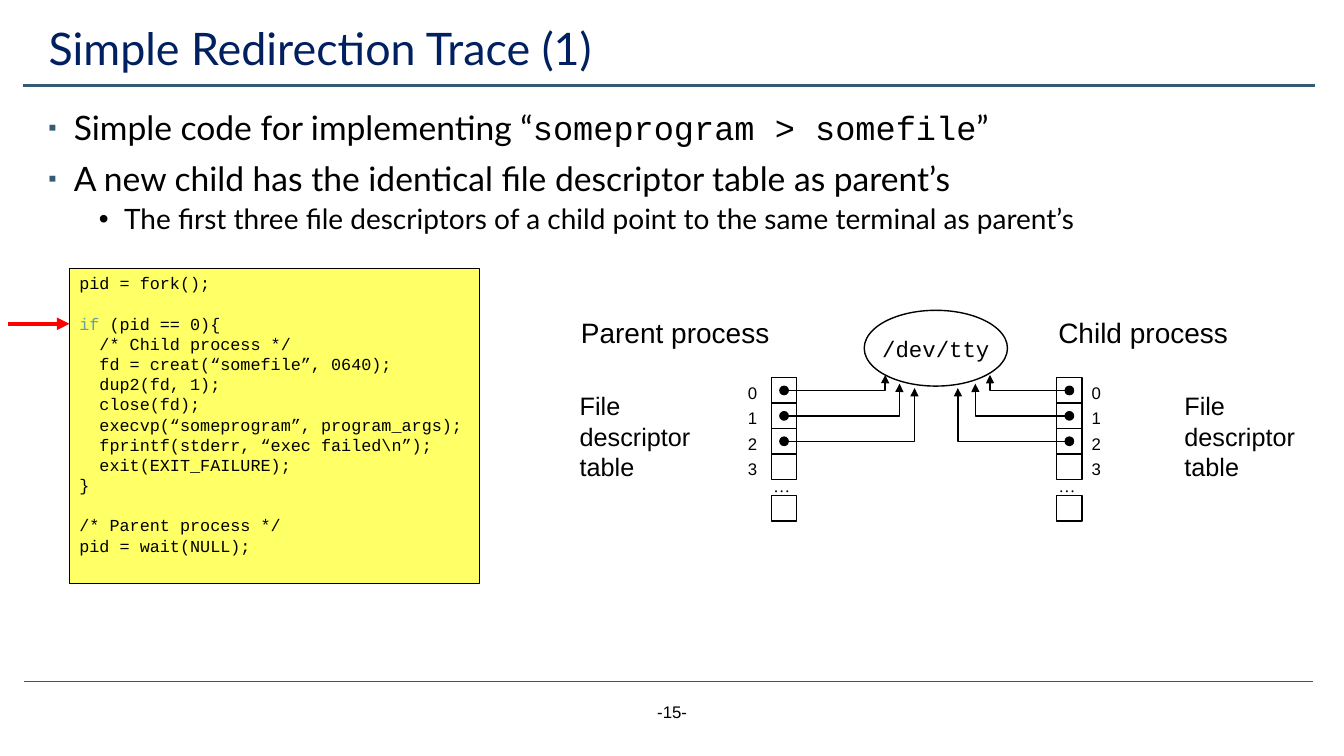
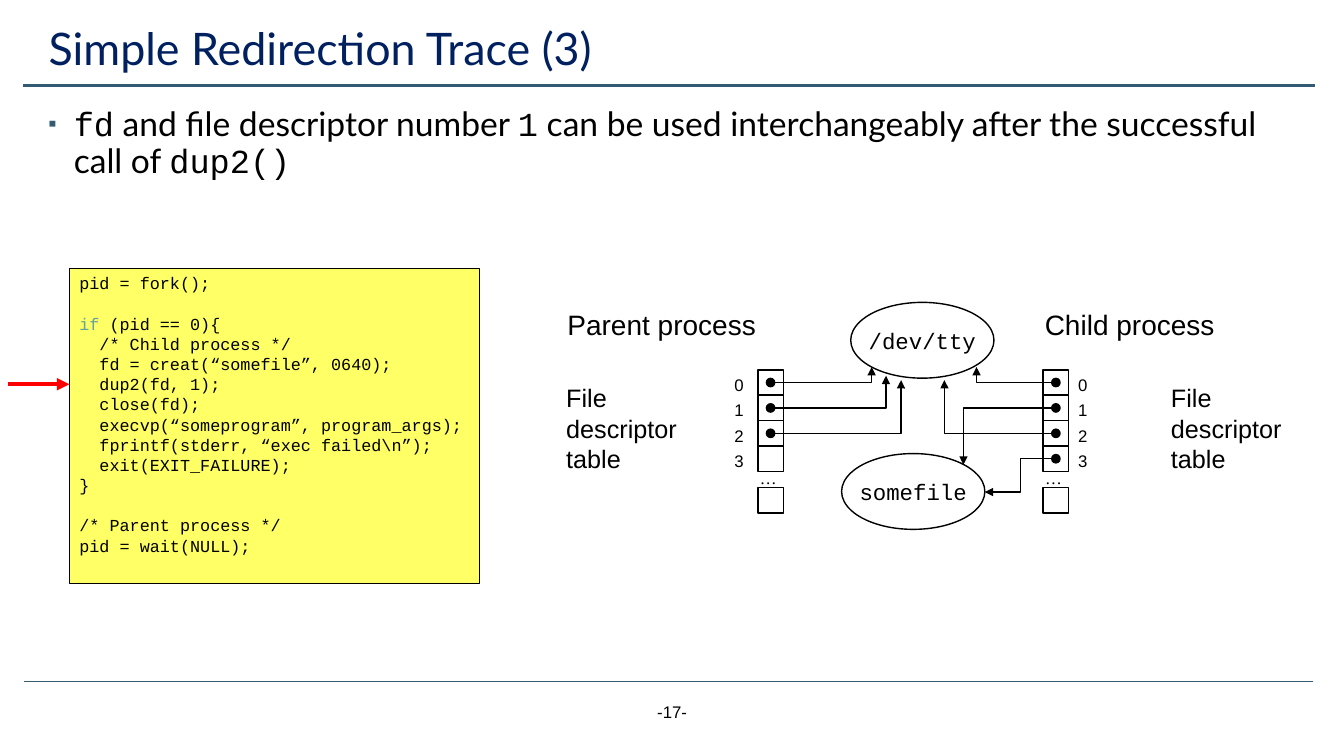
from lxml import etree
from pptx import Presentation
from pptx import util as u
from pptx.dml import color
from pptx.enum import shapes, text
from pptx.oxml.ns import qn

BLACK, NAVY, SLATE, YELLOW, RED, TEAL = (
    "000000", "002060", "335B74", "FFFF66", "FF0000", "62A39F")
SANS, MONO, BODY, SERIF = "Arial", "Courier New", "Lato", "Times New Roman"
CELL, DOT = 0.64, 0.21
CODE_SIZE, LEADING, INSET = 12, 1.2, 0.13
CODE = [
    "pid = fork();",
    "",
    [("if", {"color": TEAL}), (" (pid == 0){", {})],
    "  /* Child process */",
    "  fd = creat(“somefile”, 0640);",
    "  dup2(fd, 1);",
    "  close(fd);",
    "  execvp(“someprogram”, program_args);",
    "  fprintf(stderr, “exec failed\\n”);",
    "  exit(EXIT_FAILURE);",
    "}",
    "",
    "/* Parent process */",
    "pid = wait(NULL);",
]
CODE_FONT = {"name": MONO}
PARENT_WIRES = [(0, 7.95, 1.63, 99.9), (1, 8.31, 1.85, 99.9), (2, 8.69, 1.96, 99.9)]
CHILD_WIRES = {
    "terminal": [(0, 10.59, 1.63, 99.9), (1, 10.22, 1.85, 99.9), (2, 9.78, 1.96, 99.9)],
    "file": [(0, 10.59, 1.63, 99.9), (1, 10.26, 4.09, 99.9), (2, 9.78, 1.96, 99.9),
             (3, 10.8, 4.78, 50)],
}
BULLETS = [
    {"size": 24, "before": 10, "margin": 0.64, "mark": "▪", "color": SLATE, "percent": 70},
    {"size": 20, "before": 5, "margin": 1.91, "mark": "•", "color": BLACK, "percent": 100},
]
SLIDES = [
    {"title": "Simple Redirection Trace (1)", "page": "-15-", "body_top": 2.69,
     "bullets": [
         (0, [("Simple code for implementing “", {}),
              ("someprogram > somefile", CODE_FONT), ("”", {})]),
         (0, "A new child has the identical file descriptor table as parent’s"),
         (1, "The first three file descriptors of a child point to the same terminal as parent’s")],
     "code_line": 2, "diagram": (14.36, 7.82), "target": "terminal"},
    {"title": "Simple Redirection Trace (3)", "page": "-17-", "body_top": 2.59,
     "bullets": [
         (0, [("fd", CODE_FONT), (" and file descriptor number ", {}), ("1", CODE_FONT),
              (" can be used interchangeably after the successful call of ", {}),
              ("dup2()", CODE_FONT)])],
     "code_line": 5, "diagram": (14.02, 7.62), "target": "file"},
]


def rgb(value):
    """Turn a hex string into a colour."""
    return color.RGBColor.from_string(value)


def lengths(*values):
    """Turn centimetre numbers into lengths."""
    return [u.Cm(value) for value in values]


def write(paragraph, content, **base):
    """Fill a paragraph with a string or with (text, format) runs."""
    runs = [(content, {})] if isinstance(content, str) else content
    for words, changes in runs:
        run = paragraph.add_run()
        run.text = words
        values = {"name": SANS, "size": 12, "color": BLACK, **base, **changes}
        run.font.color.rgb = rgb(values.pop("color"))
        values["size"] = u.Pt(values["size"])
        for name, value in values.items():
            setattr(run.font, name, value)


def add_text(slide, box, lines, align=text.PP_ALIGN.LEFT, **base):
    """Add a text box with one paragraph for each line."""
    frame = slide.shapes.add_textbox(*lengths(*box)).text_frame
    frame.word_wrap = True
    for index, line in enumerate(lines):
        paragraph = frame.add_paragraph() if index else frame.paragraphs[0]
        paragraph.alignment = align
        if len(lines) > 1:
            paragraph.line_spacing = u.Pt(base["size"] * LEADING)
        write(paragraph, line, **base)


def add_shape(slide, kind, box, fill=None, width=1):
    """Add a black-outlined shape with an optional fill."""
    shape = slide.shapes.add_shape(kind, *lengths(*box))
    shape.shadow.inherit = False
    if fill:
        shape.fill.solid()
        shape.fill.fore_color.rgb = rgb(fill)
    else:
        shape.fill.background()
    shape.line.color.rgb = rgb(BLACK)
    shape.line.width = u.Pt(width)
    return shape


def add_line(slide, start, end, line_color=BLACK, width=1, arrow=False, bend=None):
    """Add a straight line, or an elbow that turns at a percentage of its width."""
    kind = shapes.MSO_CONNECTOR.STRAIGHT if bend is None else shapes.MSO_CONNECTOR.ELBOW
    connector = slide.shapes.add_connector(kind, *lengths(*start, *end))
    connector.line.color.rgb = rgb(line_color)
    connector.line.width = u.Pt(width)
    properties = connector._element.spPr
    if arrow:
        etree.SubElement(properties.find(qn("a:ln")), qn("a:tailEnd"), type="triangle")
    if bend is not None:
        geometry = properties.find(qn("a:prstGeom"))
        adjustments = geometry.find(qn("a:avLst"))
        if adjustments is None:
            adjustments = etree.SubElement(geometry, qn("a:avLst"))
        etree.SubElement(adjustments, qn("a:gd"), name="adj1",
                         fmla=f"val {round(bend * 1000)}")
    etree.SubElement(properties, qn("a:effectLst"))


def add_frame(slide, title, page):
    """Place the title, the two rules and the page number."""
    placeholder = slide.shapes.title
    box = dict(zip(("left", "top", "width", "height"), lengths(0.97, 0.48, 31.57, 1.6)))
    for name, value in box.items():
        setattr(placeholder, name, value)
    placeholder.text_frame.vertical_anchor = text.MSO_ANCHOR.MIDDLE
    paragraph = placeholder.text_frame.paragraphs[0]
    paragraph.alignment = text.PP_ALIGN.LEFT
    paragraph.line_spacing = 0.9
    write(paragraph, title, name=BODY, size=32, color=NAVY)
    add_line(slide, (0.6, 17.17), (33.1, 17.17), SLATE, 0.5)
    add_line(slide, (0.58, 2.16), (33.15, 2.16), SLATE, 1.75)
    add_text(slide, (13.13, 17.55, 7.62, 1.02), [page], text.PP_ALIGN.CENTER)


def add_bullets(slide, box, bullets):
    """Place the bulleted body text."""
    frame = slide.shapes.add_textbox(*lengths(*box)).text_frame
    frame.word_wrap = True
    for index, (level, content) in enumerate(bullets):
        style = BULLETS[level]
        paragraph = frame.add_paragraph() if index else frame.paragraphs[0]
        paragraph.level = level
        paragraph.line_spacing = 0.9
        paragraph.space_before = u.Pt(style["before"])
        write(paragraph, content, name=BODY, size=style["size"])
        properties = paragraph._p.get_or_add_pPr()
        properties.set("marL", str(u.Cm(style["margin"])))
        properties.set("indent", str(-u.Cm(0.64)))
        bullet_color = etree.SubElement(properties, qn("a:buClr"))
        etree.SubElement(bullet_color, qn("a:srgbClr"), val=style["color"])
        etree.SubElement(properties, qn("a:buSzPct"), val=str(style["percent"] * 1000))
        etree.SubElement(properties, qn("a:buFont"), typeface=SANS)
        etree.SubElement(properties, qn("a:buChar"), char=style["mark"])


def add_code(slide, box, current_line):
    """Place the code panel and the arrow at its current line."""
    left, top = box[:2]
    panel = add_shape(slide, shapes.MSO_SHAPE.RECTANGLE, box, YELLOW, 0.75)
    frame = panel.text_frame
    frame.word_wrap = True
    frame.vertical_anchor = text.MSO_ANCHOR.TOP
    spacing = u.Pt(CODE_SIZE * LEADING)
    for index, line in enumerate(CODE):
        if not line:
            continue
        paragraph = frame.add_paragraph() if index else frame.paragraphs[0]
        paragraph.alignment = text.PP_ALIGN.LEFT
        paragraph.line_spacing = spacing
        if index and not CODE[index - 1]:
            paragraph.space_before = spacing
        write(paragraph, line, name=MONO, size=CODE_SIZE)
    y = top + INSET + (current_line + 0.5) * spacing.cm
    add_line(slide, (left - 1.55, y), (left, y), RED, 3, arrow=True)


def add_process(slide, origin, name, offsets, wires):
    """Place one process: its label, descriptor table and wires."""
    left, top = origin
    label, caption, cells, numbers = (left + offset for offset in offsets)
    first = top + 1.7
    add_text(slide, (label, top, 5.8, 1.12), [name], size=20)
    add_text(slide, (caption, top + 1.9, 3.6, 2.54), ["File", "descriptor", "table"], size=18)
    for row in range(4):
        y = first + row * CELL
        add_shape(slide, shapes.MSO_SHAPE.RECTANGLE, (cells, y, CELL, CELL))
        add_text(slide, (numbers, y, 0.86, 0.76), [str(row)])
    add_shape(slide, shapes.MSO_SHAPE.RECTANGLE, (cells, top + 4.67, CELL, CELL))
    add_text(slide, (cells - 0.2, top + 4.04, 0.94, 0.76), ["…"], name=SERIF)
    for row, end_x, end_y, bend in wires:
        x, y = cells + CELL / 2, first + (row + 0.5) * CELL
        add_shape(slide, shapes.MSO_SHAPE.OVAL, (x - DOT / 2, y - DOT / 2, DOT, DOT), BLACK)
        add_line(slide, (x, y), (left + end_x, top + end_y), arrow=True, bend=bend)


def add_file(slide, left, top, name):
    """Place an oval that stands for an open file."""
    oval = add_shape(slide, shapes.MSO_SHAPE.OVAL, (left, top, 3.61, 1.91))
    frame = oval.text_frame
    frame.word_wrap = False
    frame.vertical_anchor = text.MSO_ANCHOR.MIDDLE
    frame.paragraphs[0].alignment = text.PP_ALIGN.CENTER
    write(frame.paragraphs[0], name, name=MONO, size=16)


def add_diagram(slide, origin, target):
    """Place both processes and the files they point to."""
    left, top = origin
    add_process(slide, origin, "Parent process", (0.03, 0, 5.08, 4.24), PARENT_WIRES)
    add_process(slide, origin, "Child process", (12.06, 15.24, 12.27, 12.9),
                CHILD_WIRES[target])
    add_file(slide, left + 7.42, top, "/dev/tty")
    if target == "file":
        add_file(slide, left + 7.19, top + 3.81, "somefile")


def main():
    """Build and save the presentation."""
    presentation = Presentation()
    presentation.slide_width, presentation.slide_height = lengths(33.87, 19.05)
    for content in SLIDES:
        slide = presentation.slides.add_slide(presentation.slide_layouts[5])
        add_frame(slide, content["title"], content["page"])
        add_bullets(slide, (0.97, content["body_top"], 31.75, 4), content["bullets"])
        add_diagram(slide, content["diagram"], content["target"])
        add_code(slide, (1.75, 6.76, 10.34, 7.95), content["code_line"])
    presentation.save("out.pptx")


if __name__ == "__main__":
    main()
